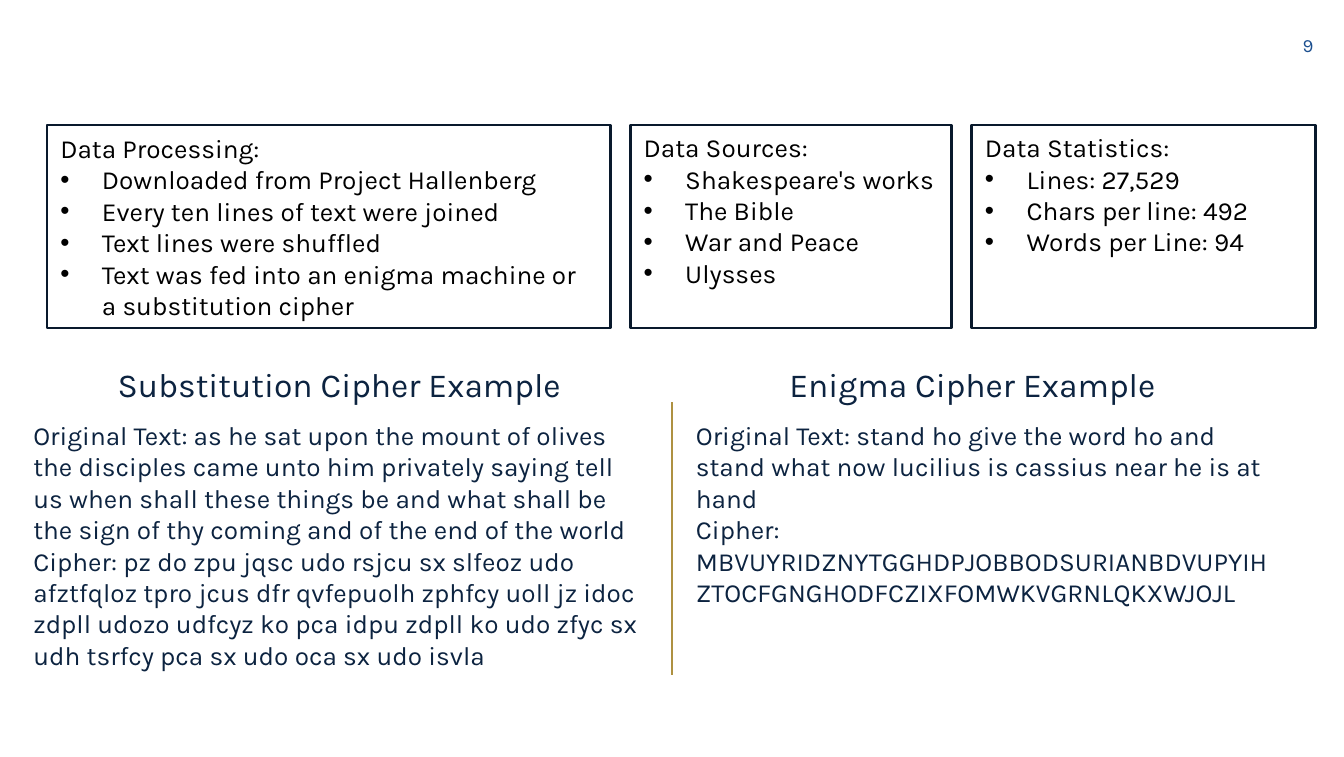
from lxml import etree
from pptx import Presentation
from pptx.dml.color import RGBColor
from pptx.enum.shapes import MSO_CONNECTOR, MSO_SHAPE
from pptx.enum.text import MSO_ANCHOR, PP_ALIGN
from pptx.oxml.ns import qn
from pptx.util import Inches, Pt

LEFT, CENTER, RIGHT = PP_ALIGN.LEFT, PP_ALIGN.CENTER, PP_ALIGN.RIGHT
TOP, MIDDLE = MSO_ANCHOR.TOP, MSO_ANCHOR.MIDDLE
RECTANGLE, STRAIGHT = MSO_SHAPE.RECTANGLE, MSO_CONNECTOR.STRAIGHT

# The grid has 100 columns and 56.3 rows, each a tenth of an inch
UNIT = Inches(0.1)
COLUMNS, ROWS = 100, 56.3
FONT = "Karla"
NAVY, INK, BLACK, BLUE, GOLD = "0C2340", "09192C", "000000", "1C4F8F", "AE9141"

CARD_GAP = 1.5
CARDS = [
    (41.9, MIDDLE, ["Data Processing:", "Downloaded from Project Hallenberg",
                    "Every ten lines of text were joined",
                    "Text lines were shuffled",
                    "Text was fed into an enigma machine or a substitution cipher"]),
    (23.9, TOP, ["Data Sources:", "Shakespeare's works", "The Bible",
                 "War and Peace", "Ulysses"]),
    (25.6, TOP, ["Data Statistics:", "Lines: 27,529", "Chars per line: 492",
                 "Words per Line: 94"]),
]

# Panel box, heading indent, heading, body paragraphs
EXAMPLES = [
    ((1.5, 26.6, 47.7, 24), 5.5, "Substitution Cipher Example", [
        "Original Text: as he sat upon the mount of olives the disciples came "
        "unto him privately saying tell us when shall these things be and what "
        "shall be the sign of thy coming and of the end of the world",
        "Cipher: pz do zpu jqsc udo rsjcu sx slfeoz udo afztfqloz tpro jcus dfr "
        "qvfepuolh zphfcy uoll jz idoc zdpll udozo udfcyz ko pca idpu zdpll ko "
        "udo zfyc sx udh tsrfcy pca sx udo oca sx udo isvla"]),
    ((50.8, 26.6, 45.6, 16.9), 3.3, "Enigma Cipher Example", [
        "Original Text: stand ho give the word ho and stand what now lucilius "
        "is cassius near he is at hand",
        "Cipher: MBVUYRIDZNYTGGHDPJOBBODSURIANBDVUPYIHZTOCFGNGHODFCZIXFOMWKVGRNLQKXWJOJL"]),
]


def color(value):
    return RGBColor.from_string(value)


def grid(*lengths):
    return [round(length * UNIT) for length in lengths]


def write(shape, lines, size, ink, align=LEFT, anchor=TOP):
    frame = shape.text_frame
    frame.word_wrap = True
    frame.vertical_anchor = anchor
    frame.text = "\n".join(lines)
    for para in frame.paragraphs:
        para.alignment = align
        for span in para.runs:
            span.font.name = FONT
            span.font.size = Pt(size)
            span.font.color.rgb = color(ink)


def add_text(page, box, lines, size, ink, align=LEFT, anchor=TOP):
    write(page.shapes.add_textbox(*grid(*box)), lines, size, ink, align, anchor)


def add_bullet(para):
    indent = Inches(0.31)
    properties = para._p.get_or_add_pPr()
    properties.set("marL", str(indent))
    properties.set("indent", str(-indent))
    etree.SubElement(properties, qn("a:buFont")).set("typeface", "Arial")
    etree.SubElement(properties, qn("a:buChar")).set("char", "•")


def add_card(page, box, lines, anchor):
    card = page.shapes.add_shape(RECTANGLE, *grid(*box))
    card.shadow.inherit = False
    card.fill.background()
    card.line.color.rgb = color(INK)
    card.line.width = Pt(1.5)
    write(card, lines, 14, BLACK, anchor=anchor)
    for para in card.text_frame.paragraphs[1:]:
        add_bullet(para)


def add_card_row(page, box):
    left, top, _, height = box
    for width, anchor, lines in CARDS:
        add_card(page, (left, top, width, height), lines, anchor)
        left += width + CARD_GAP


def add_example(page, box, heading_indent, heading, lines):
    left, top, width, height = box
    heading_height = 4.1
    add_text(page, (left, top + heading_height, width, height - heading_height),
             lines, 14, NAVY)
    add_text(page, (left + heading_indent, top, 36.5, heading_height),
             [heading], 18, NAVY, CENTER)


def add_divider(page, x, top, bottom):
    divider = page.shapes.add_connector(STRAIGHT, *grid(x, top, x, bottom))
    divider.line.color.rgb = color(GOLD)
    divider.line.width = Pt(0.75)
    etree.SubElement(divider._element.spPr, qn("a:effectLst"))


def main():
    deck = Presentation()
    deck.slide_width, deck.slide_height = grid(COLUMNS, ROWS)
    page = deck.slides.add_slide(deck.slide_layouts[6])

    # Page number
    add_text(page, (92.7, 1.2, 6, 4.3), ["9"], 10, BLUE, RIGHT, MIDDLE)
    # Data cards
    add_card_row(page, (3.5, 9.3, 94.4, 15.1))
    # Cipher examples on both sides of the divider
    add_divider(page, COLUMNS / 2, 29.9, 50.2)
    for example in EXAMPLES:
        add_example(page, *example)

    deck.save("out.pptx")


if __name__ == "__main__":
    main()
